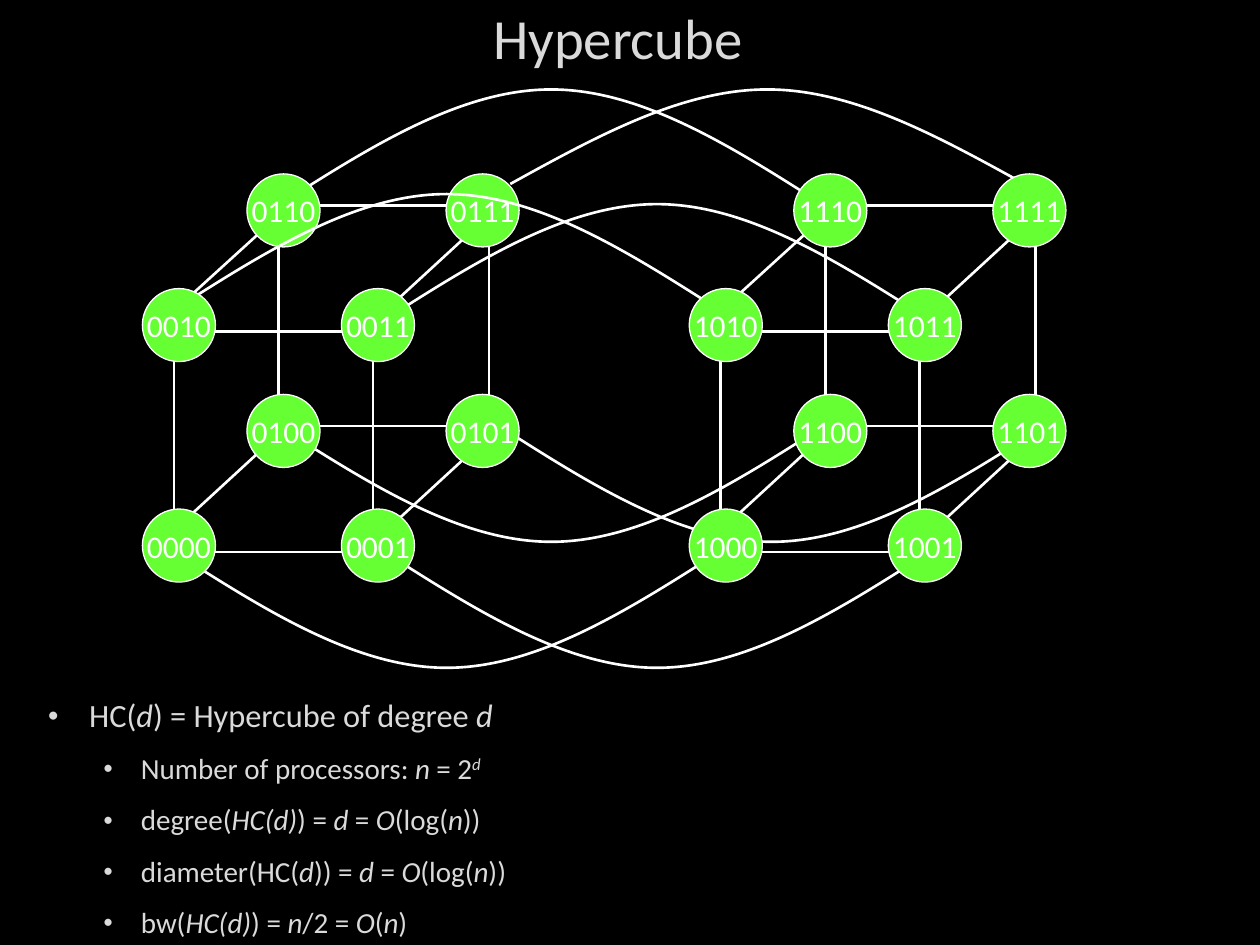
from dataclasses import dataclass
from itertools import product

import lxml.etree
import pptx
import pptx.dml.color
import pptx.enum.shapes
import pptx.enum.text
import pptx.oxml.ns
import pptx.util
from pptx.util import Inches

RGBColor = pptx.dml.color.RGBColor
BLACK = RGBColor(0x00, 0x00, 0x00)
WHITE = RGBColor(0xFF, 0xFF, 0xFF)
GREY = RGBColor(0xDA, 0xDA, 0xDA)
GREEN = RGBColor(0x66, 0xFF, 0x33)
FONT = "Calibri"
CUBE_STEP = 4.34  # distance between the two cubes
NODE_SIZE = 0.58
ANCHOR = pptx.enum.text.MSO_ANCHOR
ALIGN = pptx.enum.text.PP_ALIGN
qn = pptx.oxml.ns.qn


@dataclass
class Edge:
    x1: float
    y1: float
    x2: float
    y2: float


@dataclass
class Arc:
    x: float
    y: float
    height: float  # negative arcs rise, positive arcs sag
    width: float = 4.33


@dataclass
class Level:
    size: float
    margin: float
    indent: float


# Edges of one cube
CUBE_EDGES = [
    Edge(1.30, 2.54, 2.30, 1.63), Edge(2.88, 2.63, 3.88, 1.71),
    Edge(1.38, 4.21, 2.38, 3.29), Edge(2.88, 4.38, 3.88, 3.46),
    Edge(1.55, 4.38, 3.05, 4.38), Edge(1.46, 2.63, 2.96, 2.63),
    Edge(2.21, 3.38, 3.71, 3.38), Edge(2.21, 1.63, 3.71, 1.63),
    Edge(1.38, 2.63, 1.38, 4.38), Edge(2.96, 2.63, 2.96, 4.38),
    Edge(3.88, 1.63, 3.88, 3.38), Edge(2.21, 1.71, 2.21, 3.46),
]

# Arcs joining the two cubes
OUTER_ARCS = [
    Arc(2.21, 1.63, -0.92), Arc(4.05, 1.46, -0.75, 4.08),
    Arc(2.21, 3.38, 0.92), Arc(3.96, 3.38, 0.92),
    Arc(1.38, 4.38, 0.92), Arc(3.05, 4.38, 0.92),
]
CROSSING_ARCS = [Arc(1.38, 2.46, -0.92), Arc(3.05, 2.54, -0.92)]

# Asterisks enclose italics; a caret opens a superscript
LEVELS = [Level(18.5, 0.38, -0.33), Level(16.6, 0.79, -0.30)]
BULLETS = [
    (0, "HC(*d*) = Hypercube of degree *d*"),
    (1, "Number of processors: *n* = 2*^d*"),
    (1, "degree(*HC(d)*) = *d *= *O*(log(*n*))"),
    (1, "diameter(HC(*d*)) = *d* = *O*(log(*n*))"),
    (1, "bw(*HC(d)*) = *n*/2 = *O*(*n*)"),
]


def set_all(obj, values: dict) -> None:
    for name, value in values.items():
        setattr(obj, name, value)


def add_run(p, text: str, size: float, color: RGBColor, italic: bool = False) -> None:
    r = p.add_run()
    r.text = text.lstrip("^")
    set_all(r.font, {"name": FONT, "size": pptx.util.Pt(size), "italic": italic})
    r.font.color.rgb = color
    if text.startswith("^"):
        r.font._element.set("baseline", "30000")


def set_line(sp, width: float) -> None:
    sp.line.color.rgb = WHITE
    sp.line.width = pptx.util.Pt(width)


def add_edge(s, edge: Edge, dx: float) -> None:
    sp = s.shapes.add_connector(
        pptx.enum.shapes.MSO_CONNECTOR.STRAIGHT,
        Inches(edge.x1 + dx), Inches(edge.y1), Inches(edge.x2 + dx), Inches(edge.y2))
    set_line(sp, 1.5)
    lxml.etree.SubElement(sp._element.spPr, qn("a:effectLst"))


def add_arc(s, arc: Arc) -> None:
    # Seven evenly spaced points: two cubic curves that meet at the apex
    points = [(Inches(arc.x + arc.width * i / 6), Inches(arc.y + arc.height * k))
              for i, k in enumerate((0, 0.5, 1, 1, 1, 0.5, 0))]
    fb = s.shapes.build_freeform(*points[0], scale=1.0)
    fb.add_line_segments(points[1:], close=False)
    sp = fb.convert_to_shape()
    segments = list(sp._element.iter(qn("a:lnTo")))
    for i in range(0, len(segments), 3):
        curve = lxml.etree.Element(qn("a:cubicBezTo"))
        segments[i].addprevious(curve)
        for segment in segments[i:i + 3]:
            curve.append(segment[0])
            segment.getparent().remove(segment)
    sp.shadow.inherit = False
    sp.fill.background()
    set_line(sp, 1.5)


def add_node(s, b3: int, b2: int, b1: int, b0: int) -> None:
    x = 1.13 + CUBE_STEP * b3 + 0.83 * b2 + 1.58 * b0
    y = 4.04 - 0.91 * b2 - 1.75 * b1
    sp = s.shapes.add_shape(pptx.enum.shapes.MSO_SHAPE.OVAL, Inches(x), Inches(y),
                            Inches(NODE_SIZE), Inches(NODE_SIZE))
    sp.shadow.inherit = False
    sp.fill.solid()
    sp.fill.fore_color.rgb = GREEN
    set_line(sp, 0.75)
    tf = sp.text_frame
    set_all(tf, {"word_wrap": False, "vertical_anchor": ANCHOR.MIDDLE})
    p = tf.paragraphs[0]
    p.alignment = ALIGN.CENTER
    add_run(p, f"{b3}{b2}{b1}{b0}", 18, WHITE)


def add_nodes(s, b2: int) -> None:
    for b3, b1, b0 in product((0, 1), repeat=3):
        add_node(s, b3, b2, b1, b0)


def add_title(s) -> None:
    sp = s.shapes.add_textbox(Inches(0.39), Inches(0), Inches(9.03), Inches(0.58))
    tf = sp.text_frame
    set_all(tf, {"word_wrap": True, "vertical_anchor": ANCHOR.MIDDLE})
    p = tf.paragraphs[0]
    p.alignment = ALIGN.CENTER
    add_run(p, "Hypercube", 32.4, GREY)


def set_bullet(p, level: Level) -> None:
    pPr = p._p.get_or_add_pPr()
    pPr.set("marL", str(Inches(level.margin)))
    pPr.set("indent", str(Inches(level.indent)))
    color = lxml.etree.SubElement(pPr, qn("a:buClr"))
    lxml.etree.SubElement(color, qn("a:srgbClr"), val=str(GREY))
    lxml.etree.SubElement(pPr, qn("a:buSzPct"), val="70000")
    lxml.etree.SubElement(pPr, qn("a:buFont"), typeface=FONT)
    lxml.etree.SubElement(pPr, qn("a:buChar"), char="•")


def add_bullets(s) -> None:
    sp = s.shapes.add_textbox(Inches(0.23), Inches(5.47), Inches(9.22), Inches(2.03))
    sp.fill.solid()
    sp.fill.fore_color.rgb = BLACK
    tf = sp.text_frame
    tf.word_wrap = True
    for i, (depth, text) in enumerate(BULLETS):
        level = LEVELS[depth]
        p = tf.add_paragraph() if i else tf.paragraphs[0]
        set_all(p, {"level": depth, "space_before": pptx.util.Pt(level.size * 0.2),
                    "space_after": pptx.util.Pt(6)})
        set_bullet(p, level)
        for j, part in enumerate(text.split("*")):
            if part:
                add_run(p, part, level.size, GREY, italic=j % 2 == 1)


def main() -> None:
    prs = pptx.Presentation()
    set_all(prs, {"slide_width": Inches(10), "slide_height": Inches(7.5)})
    s = prs.slides.add_slide(prs.slide_layouts[6])
    s.background.fill.solid()
    s.background.fill.fore_color.rgb = BLACK

    # Text
    add_title(s)
    add_bullets(s)

    # Hypercube, from back to front
    for dx in (0, CUBE_STEP):
        for edge in CUBE_EDGES:
            add_edge(s, edge, dx)
    for arc in OUTER_ARCS:
        add_arc(s, arc)
    add_nodes(s, b2=1)
    for arc in CROSSING_ARCS:
        add_arc(s, arc)
    add_nodes(s, b2=0)

    prs.save("out.pptx")


if __name__ == "__main__":
    main()
